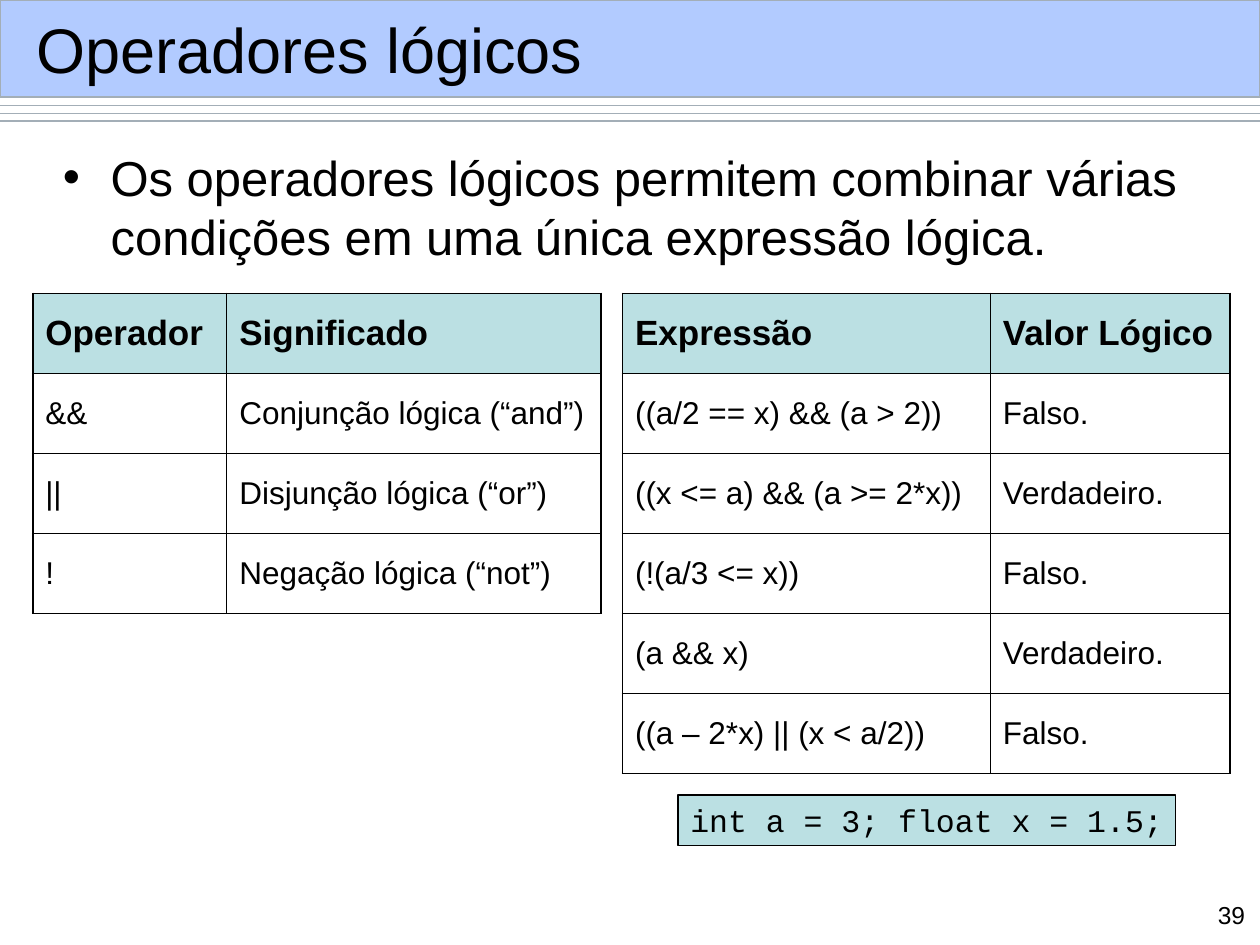
from pptx import Presentation
from pptx.dml.color import RGBColor
from pptx.enum.shapes import MSO_CONNECTOR, MSO_SHAPE
from pptx.enum.text import MSO_ANCHOR, PP_ALIGN
from pptx.oxml.ns import qn
from pptx.util import Inches, Pt
from lxml.etree import SubElement, Element

HUES = {"ink": "000000", "band": "6699FF", "rule": "A3AEB7", "head": "BBE0E3"}
WIDE, HIGH = Inches(10), Inches(7.5)
COL, ROW = WIDE / 100, HIGH / 75  # grid of 100 columns by 75 rows
THIN, THICK = 0.45, 1.08

SIGNS = [
    ("Operador", "Significado"),
    ("&&", "Conjunção lógica (“and”)"),
    ("||", "Disjunção lógica (“or”)"),
    ("!", "Negação lógica (“not”)"),
]
TESTS = [
    ("Expressão", "Valor Lógico"),
    ("((a/2 == x) && (a > 2))", "Falso."),
    ("((x <= a) && (a >= 2*x))", "Verdadeiro."),
    ("(!(a/3 <= x))", "Falso."),
    ("(a && x)", "Verdadeiro."),
    ("((a – 2*x) || (x < a/2))", "Falso."),
]


def hue(name):
    return RGBColor.from_string(HUES[name])


def place(box):
    left, top, wide, high = box
    return round(left * COL), round(top * ROW), round(wide * COL), round(high * ROW)


def style(para, size, face="Arial", bold=False):
    font = para.font
    font.size, font.name, font.bold = Pt(size), face, bold
    font.color.rgb = hue("ink")


def write(frame, text, size, **look):
    frame.text = text
    style(frame.paragraphs[0], size, **look)
    return frame.paragraphs[0]


def label(slide, box, text, size):
    frame = slide.shapes.add_textbox(*place(box)).text_frame
    frame.word_wrap = True
    return frame, write(frame, text, size)


def block(slide, box, fill, line):
    shape = slide.shapes.add_shape(MSO_SHAPE.RECTANGLE, *place(box))
    shape.shadow.inherit = False
    shape.fill.solid()
    shape.fill.fore_color.rgb = hue(fill)
    shape.line.color.rgb = hue(line)
    shape.line.width = Pt(0.75)
    return shape


def header(slide, box, text):
    left, top, wide, high = box
    # Three rules below the band
    for step in range(3):
        y = top + high + 0.7 + 0.6 * step
        x1, y1, span, _ = place((left, y, wide, 0))
        rule = slide.shapes.add_connector(MSO_CONNECTOR.STRAIGHT, x1, y1, x1 + span, y1)
        rule.line.color.rgb = hue("rule")
        rule.line.width = Pt(0.75)
        SubElement(rule._element.spPr, qn("a:effectLst"))
    # Half-clear band
    band = block(slide, box, "band", "rule")
    tint = band._element.spPr.find(qn("a:solidFill"))[0]
    SubElement(tint, qn("a:alpha"), val="50000")
    # Title
    frame, _ = label(slide, (left + 1.9, top + 0.9, wide - 3.6, high - 1.8), text, 36)
    frame.vertical_anchor = MSO_ANCHOR.MIDDLE


def bullet(slide, box, text):
    _, para = label(slide, box, text, 28)
    para.space_before = Pt(7)
    props = para._p.get_or_add_pPr()
    hang = round(3.8 * COL)
    props.set("marL", str(hang))
    props.set("indent", str(-hang))
    SubElement(props, qn("a:buFont"), typeface="Arial")
    SubElement(props, qn("a:buChar"), char="•")
    # Bullet marks come before the run defaults
    props.append(props.find(qn("a:defRPr")))


def edge(cell, sides):
    props = cell._tc.get_or_add_tcPr()
    for spot, (side, width) in enumerate(zip("LRTB", sides)):
        line = Element(qn("a:ln" + side), w=str(Pt(width)))
        fill = SubElement(line, qn("a:solidFill"))
        SubElement(fill, qn("a:srgbClr"), val=HUES["ink"])
        props.insert(spot, line)


def grid(slide, box, rows, cols):
    table = slide.shapes.add_table(len(rows), len(cols), *place(box)).table
    table.horz_banding = False
    for col, wide in zip(table.columns, cols):
        col.width = round(wide * COL)
    for row in table.rows:
        row.height = round(box[3] * ROW / len(rows))
    for r, row in enumerate(rows):
        for c, text in enumerate(row):
            cell, top = table.cell(r, c), r == 0
            cell.vertical_anchor = MSO_ANCHOR.MIDDLE
            if top:
                cell.fill.solid()
                cell.fill.fore_color.rgb = hue("head")
            else:
                cell.fill.background()
            para = write(cell.text_frame, text, 20 if top else 18, bold=top)
            para.space_before = Pt(5 if top else 4.5)
            outer = (c == 0, c == len(cols) - 1, top, r == len(rows) - 1)
            edge(cell, [THICK if rim else THIN for rim in outer])


def code(slide, box, text):
    frame = block(slide, box, "head", "ink").text_frame
    frame.word_wrap = False
    frame.vertical_anchor = MSO_ANCHOR.TOP
    write(frame, text, 18, face="Courier New").alignment = PP_ALIGN.LEFT


def number(slide, box, text):
    label(slide, box, text, 14)[1].alignment = PP_ALIGN.RIGHT


def main():
    deck = Presentation()
    deck.slide_width, deck.slide_height = WIDE, HIGH
    slide = deck.slides.add_slide(deck.slide_layouts[6])
    line = 6.35  # rows of the page grid per table row
    header(slide, (0, 0, 100, 7.7), "Operadores lógicos")
    bullet(slide, (4, 11.2, 92.5, 11),
           "Os operadores lógicos permitem combinar várias condições "
           "em uma única expressão lógica.")
    grid(slide, (2.6, 23.3, 45.1, line * len(SIGNS)), SIGNS, (15.4, 29.7))
    grid(slide, (49.4, 23.3, 48.2, line * len(TESTS)), TESTS, (29.2, 19))
    code(slide, (53.8, 63.1, 39.5, 4), "int a = 3; float x = 1.5;")
    number(slide, (90.7, 70.9, 9.1, 2.6), "39")
    deck.save("out.pptx")


if __name__ == "__main__":
    main()
